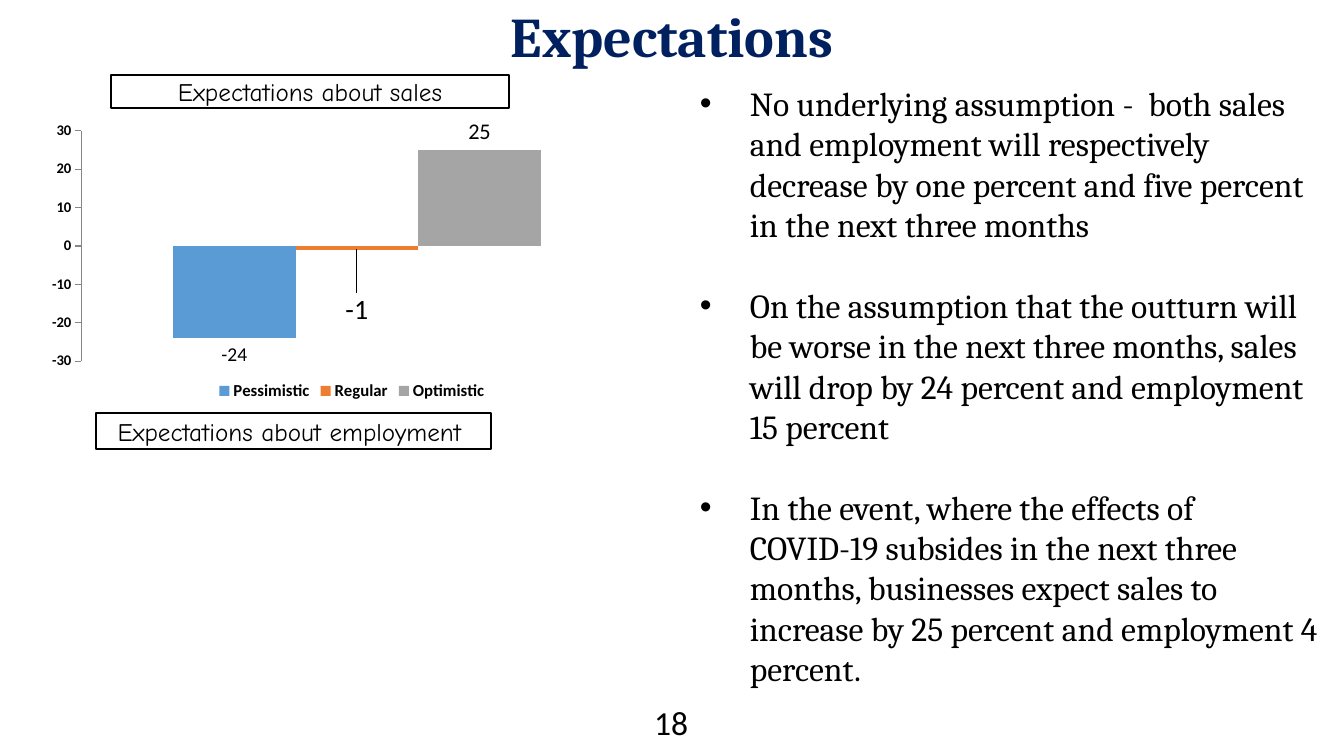
from dataclasses import dataclass

from lxml.etree import SubElement
from pptx import Presentation
from pptx.chart.data import CategoryChartData
from pptx.dml.color import RGBColor
from pptx.enum.chart import XL_CHART_TYPE, XL_LABEL_POSITION, XL_LEGEND_POSITION, XL_TICK_MARK
from pptx.enum.shapes import MSO_SHAPE
from pptx.enum.text import MSO_ANCHOR, PP_ALIGN
from pptx.oxml import parse_xml
from pptx.oxml.ns import nsdecls, qn
from pptx.util import Emu, Pt

TITLE = ("Expectations", (0, 9, 1344, 60))
FINDINGS = [
    "No underlying assumption -  both sales and employment will respectively decrease by one percent and five percent in the next three months",
    "On the assumption that the outturn will be worse in the next three months, sales will drop by 24 percent and employment 15 percent",
    "In the event, where the effects of COVID-19 subsides in the next three months, businesses expect sales to increase by 25 percent and employment 4 percent.",
]
FINDINGS_BOX = (683, 78, 647, 615)
PAGE_NUMBER = ("18", (634, 702, 64, 40))
HEADINGS = [
    ("Expectations about employment ", (96, 413, 395, 36)),
    ("Expectations about sales", (111, 75, 398, 33)),
]
SALES_BOX = (52, 108, 598, 297)
SALES_PLOT = {"x": 0.046, "y": 0.077, "w": 0.925, "h": 0.776}
SALES = [
    ("Pessimistic", -24, "5B9BD5", 14),
    ("Regular", -1, "ED7D31", 20),
    ("Optimistic", 25, "A5A5A5", 16),
]
REGULAR_LABEL_DROP = 0.13


@dataclass(frozen=True)
class Theme:
    navy: str = "002060"
    black: str = "000000"
    white: str = "FFFFFF"
    axis: str = "868686"
    serif: str = "Cambria"
    sans: str = "Calibri"
    hand: str = "Comic Neue"
    title: float = 40
    body: float = 24
    heading: float = 18
    legend: float = 12
    tick: float = 10.5
    body_gap: float = 29


THEME = Theme()


def px(length):
    return Emu(round(length * 914400 / 100.8))


def place(box):
    return [px(length) for length in box]


def style(font, name, size, color=THEME.black, bold=False):
    font.name = name
    font.size = Pt(size)
    font.bold = bold
    font.color.rgb = RGBColor.from_string(color)


def add_text(slide, text, box, align, name, size, **look):
    frame = slide.shapes.add_textbox(*place(box)).text_frame
    frame.word_wrap = True
    frame.vertical_anchor = MSO_ANCHOR.MIDDLE
    frame.text = text
    paragraph = frame.paragraphs[0]
    paragraph.alignment = align
    style(paragraph.runs[0].font, name, size, **look)
    return paragraph


def add_findings(slide):
    frame = slide.shapes.add_textbox(*place(FINDINGS_BOX)).text_frame
    frame.word_wrap = True
    frame.text = "\n".join(FINDINGS)
    for paragraph in frame.paragraphs:
        style(paragraph.runs[0].font, THEME.serif, THEME.body)
        if paragraph.text != FINDINGS[-1]:
            paragraph.space_after = Pt(THEME.body_gap)
        properties = paragraph._p.get_or_add_pPr()
        properties.set("marL", str(px(57)))
        properties.set("indent", str(px(-50)))
        SubElement(properties, qn("a:buFont"), typeface="Arial")
        SubElement(properties, qn("a:buChar"), char="•")


def add_heading(slide, text, box):
    heading = slide.shapes.add_shape(MSO_SHAPE.RECTANGLE, *place(box))
    heading.shadow.inherit = False
    heading.fill.solid()
    heading.fill.fore_color.rgb = RGBColor.from_string(THEME.white)
    heading.line.color.rgb = RGBColor.from_string(THEME.black)
    heading.line.width = Pt(1)
    frame = heading.text_frame
    frame.vertical_anchor = MSO_ANCHOR.MIDDLE
    frame.text = text
    frame.paragraphs[0].alignment = PP_ALIGN.CENTER
    style(frame.paragraphs[0].runs[0].font, THEME.hand, THEME.heading)


def layout_xml(content):
    return parse_xml(f"<c:layout {nsdecls('c')}><c:manualLayout>{content}</c:manualLayout></c:layout>")


def lay_out_plot(chart):
    plot_area = chart._chartSpace.chart.plotArea
    for layout in plot_area.findall(qn("c:layout")):
        plot_area.remove(layout)
    content = '<c:layoutTarget val="inner"/><c:xMode val="edge"/><c:yMode val="edge"/>'
    content += "".join(f'<c:{side} val="{share}"/>' for side, share in SALES_PLOT.items())
    plot_area.insert(0, layout_xml(content))


def drop_label(series, size):
    label = series.points[0].data_label
    style(label.font, THEME.sans, size)
    label.position = XL_LABEL_POSITION.OUTSIDE_END
    index = series._element.find(".//" + qn("c:dLbl") + "/" + qn("c:idx"))
    index.addnext(layout_xml(f'<c:x val="0"/><c:y val="{REGULAR_LABEL_DROP}"/>'))


def add_sales_chart(slide):
    data = CategoryChartData(number_format="0")
    data.categories = ["1"]
    for name, value, _, _ in SALES:
        data.add_series(name, [value])
    chart = slide.shapes.add_chart(XL_CHART_TYPE.COLUMN_CLUSTERED, *place(SALES_BOX), data).chart
    chart.has_title = False
    style(chart.font, THEME.sans, 8)
    chart.has_legend = True
    chart.legend.position = XL_LEGEND_POSITION.BOTTOM
    chart.legend.include_in_layout = False
    style(chart.legend.font, THEME.sans, THEME.legend, bold=True)
    chart.category_axis.visible = False
    axis = chart.value_axis
    axis.minimum_scale, axis.maximum_scale, axis.major_unit = -30, 30, 10
    axis.has_major_gridlines = False
    axis.major_tick_mark = XL_TICK_MARK.OUTSIDE
    axis.tick_labels.number_format = "0"
    axis.tick_labels.number_format_is_linked = False
    axis.format.line.color.rgb = RGBColor.from_string(THEME.axis)
    style(axis.tick_labels.font, THEME.sans, THEME.tick, bold=True)
    bars = chart.plots[0]
    bars.gap_width = 150
    bars.overlap = 0
    bars.vary_by_categories = False
    for series, (name, _, color, size) in zip(bars.series, SALES):
        series.invert_if_negative = False
        series.format.fill.solid()
        series.format.fill.fore_color.rgb = RGBColor.from_string(color)
        labels = series.data_labels
        labels.show_value = True
        labels.number_format = "0"
        labels.number_format_is_linked = False
        labels.position = XL_LABEL_POSITION.OUTSIDE_END
        style(labels.font, THEME.sans, size)
        if name == "Regular":
            drop_label(series, size)
    lay_out_plot(chart)


def main():
    deck = Presentation()
    deck.slide_width, deck.slide_height = px(1344), px(756)
    slide = deck.slides.add_slide(deck.slide_layouts[6])
    title = add_text(slide, *TITLE, PP_ALIGN.CENTER, THEME.serif, THEME.title, color=THEME.navy, bold=True)
    title.line_spacing = 0.9
    add_findings(slide)
    add_sales_chart(slide)
    for text, box in HEADINGS:
        add_heading(slide, text, box)
    add_text(slide, *PAGE_NUMBER, PP_ALIGN.RIGHT, THEME.sans, THEME.body)
    deck.save("out.pptx")


if __name__ == "__main__":
    main()
